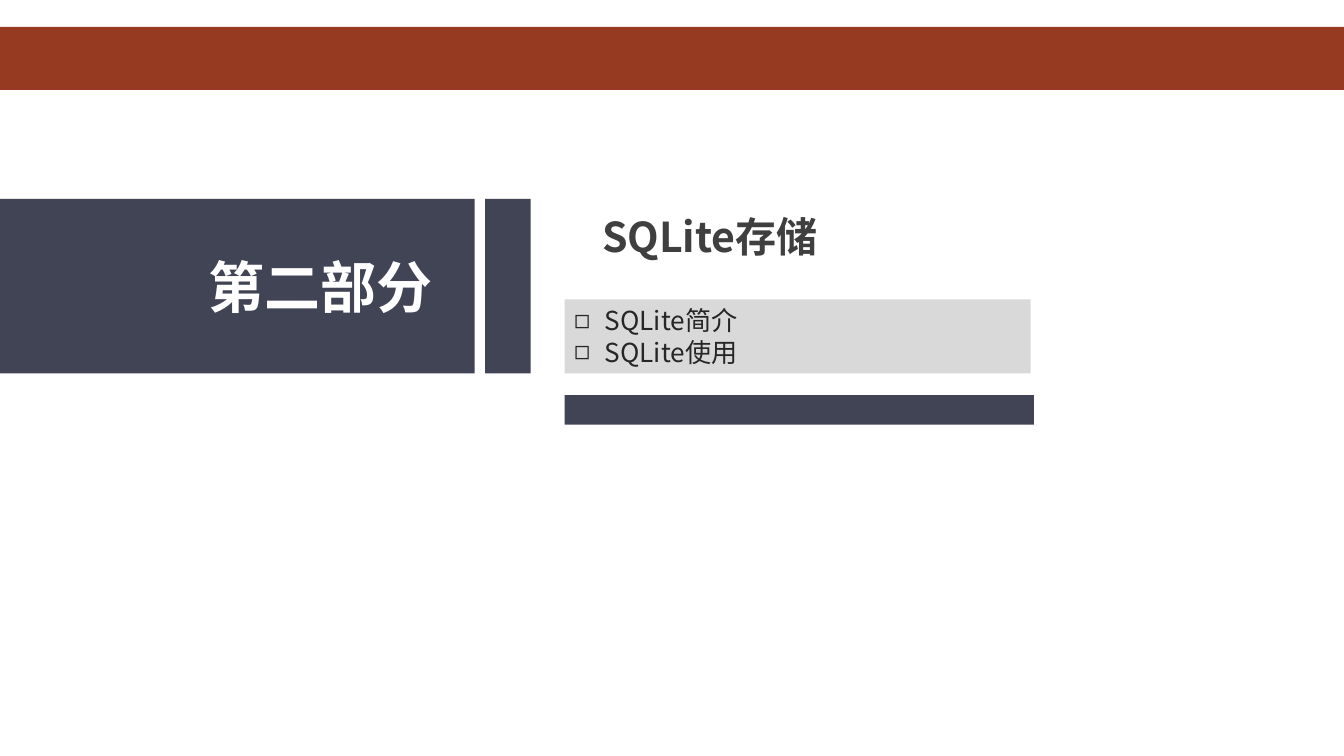
import pptx
import pptx.dml.color
import pptx.enum.shapes
import pptx.enum.text
import pptx.oxml
import pptx.oxml.ns
import pptx.util

Cm = pptx.util.Cm
Pt = pptx.util.Pt
RGBColor = pptx.dml.color.RGBColor

RUST = RGBColor(0x96, 0x3B, 0x22)
SLATE = RGBColor(0x41, 0x44, 0x55)
LIGHT_GRAY = RGBColor(0xD9, 0xD9, 0xD9)
WHITE = RGBColor(0xFF, 0xFF, 0xFF)
TITLE_GRAY = RGBColor(0x3F, 0x3F, 0x3F)
BODY_GRAY = RGBColor(0x26, 0x26, 0x26)

FONT = "Noto Sans CJK SC"
LINE_HEIGHT = 1.2
BULLET = "◻"
BULLET_INDENT = Cm(0.58)

PART_LABEL = "第二部分"
TITLE = "SQLite存储"
TOPICS = ["SQLite简介", "SQLite使用"]

BLOCK_TOP, BLOCK_HEIGHT = 3.76, 3.3
CONTENT_LEFT = 10.67

BARS = [
    ((0, 0.51, 25.4, 1.19), RUST),
    ((0, BLOCK_TOP, 8.97, BLOCK_HEIGHT), SLATE),
    ((9.17, BLOCK_TOP, 0.86, BLOCK_HEIGHT), SLATE),
    ((CONTENT_LEFT, 7.47, 8.87, 0.56), SLATE),
]
LABEL_BOX = (3.76, 4.68, 4.67, 1.47)
TITLE_BOX = (11.2, 3.89, 5.03, 1.12)
TOPICS_BOX = (CONTENT_LEFT, 5.66, 8.81, 1.4)


def place(shape, box):
    shape.left, shape.top, shape.width, shape.height = map(Cm, box)


def add_bar(slide, box, color):
    shape = slide.shapes.add_shape(
        pptx.enum.shapes.MSO_SHAPE.RECTANGLE, *map(Cm, box))
    shape.fill.solid()
    shape.fill.fore_color.rgb = color
    shape.line.fill.background()
    shape.shadow.inherit = False


def add_bullet(paragraph):
    properties = paragraph._p.get_or_add_pPr()
    properties.set("marL", str(BULLET_INDENT))
    properties.set("indent", str(-BULLET_INDENT))
    bullet = pptx.oxml.parse_xml(
        f'<a:buChar {pptx.oxml.ns.nsdecls("a")} char="{BULLET}"/>')
    properties.append(bullet)


def write_lines(shape, lines, size, color, bold=False, wrap=True, bulleted=False):
    frame = shape.text_frame
    frame.word_wrap = wrap
    frame.auto_size = pptx.enum.text.MSO_AUTO_SIZE.NONE
    frame.vertical_anchor = pptx.enum.text.MSO_ANCHOR.TOP
    frame.margin_left = frame.margin_right = Cm(0.18)
    frame.margin_top = frame.margin_bottom = Cm(0.1)
    for index, line in enumerate(lines):
        paragraph = frame.add_paragraph() if index else frame.paragraphs[0]
        paragraph.alignment = pptx.enum.text.PP_ALIGN.LEFT
        paragraph.space_before = Pt(0)
        paragraph.line_spacing = Pt(size * LINE_HEIGHT)
        if bulleted:
            add_bullet(paragraph)
        run = paragraph.add_run()
        run.text = line
        run.font.name = FONT
        run.font.size = Pt(size)
        run.font.bold = bold
        run.font.color.rgb = color
        east_asian = pptx.oxml.parse_xml(
            f'<a:ea {pptx.oxml.ns.nsdecls("a")} typeface="{FONT}"/>')
        run.font._element.append(east_asian)


def main():
    presentation = pptx.Presentation()
    presentation.slide_width = Cm(25.4)
    presentation.slide_height = Cm(14.29)
    slide = presentation.slides.add_slide(presentation.slide_layouts[1])

    for box, color in BARS:
        add_bar(slide, box, color)

    label = slide.shapes.add_textbox(*map(Cm, LABEL_BOX))
    write_lines(label, [PART_LABEL], 30, WHITE, bold=True, wrap=False)

    title = slide.shapes.title
    place(title, TITLE_BOX)
    write_lines(title, [TITLE], 22, TITLE_GRAY, bold=True)

    topics = slide.placeholders[1]
    place(topics, TOPICS_BOX)
    topics.fill.solid()
    topics.fill.fore_color.rgb = LIGHT_GRAY
    write_lines(topics, TOPICS, 14, BODY_GRAY, bulleted=True)

    presentation.save("out.pptx")


if __name__ == "__main__":
    main()
